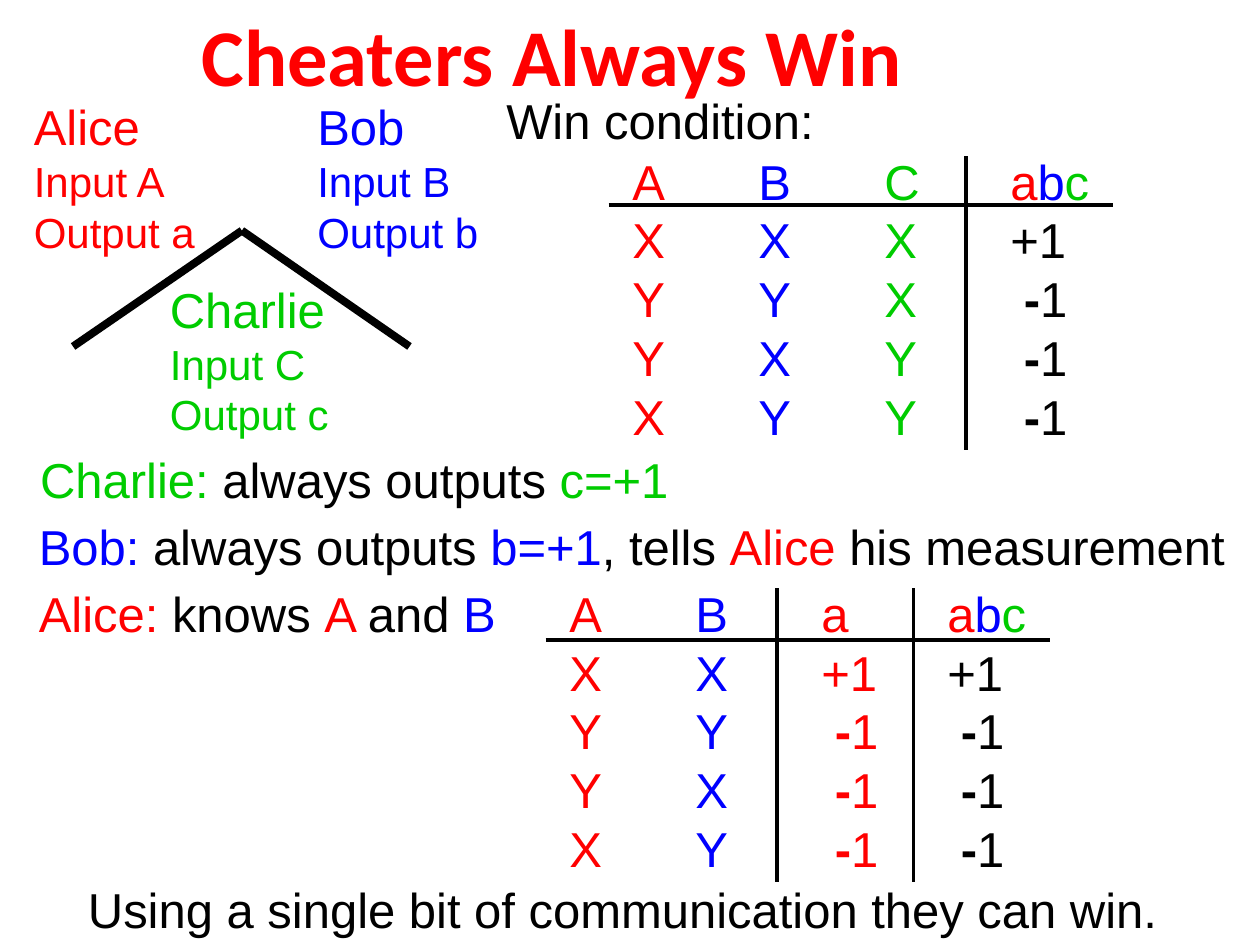
from dataclasses import dataclass
from typing import NamedTuple

from lxml.etree import SubElement
from pptx import Presentation
from pptx.dml.color import RGBColor
from pptx.enum.shapes import MSO_CONNECTOR as Connector
from pptx.enum.text import MSO_ANCHOR as Anchor, MSO_AUTO_SIZE as AutoSize, PP_ALIGN as Align
from pptx.oxml.ns import qn
from pptx.util import Inches, Pt

RED = RGBColor(0xFF, 0x00, 0x00)
BLUE = RGBColor(0x00, 0x00, 0xFF)
GREEN = RGBColor(0x00, 0xCC, 0x00)
BLACK = RGBColor(0x00, 0x00, 0x00)


class Run(NamedTuple):
    text: str
    color: RGBColor = BLACK
    bold: bool = False


class Player(NamedTuple):
    name: str
    letter: str
    color: RGBColor
    left: float
    top: float


class Statement(NamedTuple):
    left: float
    top: float
    width: float
    runs: list[Run]


@dataclass
class TruthTable:
    left: float
    top: float
    rule_top: float
    header: str
    colors: list[RGBColor]
    rows: list[str]
    dividers: list[float]


PRODUCT = [Run("a", RED), Run("b", BLUE), Run("c", GREEN)]

PLAYERS = [
    Player("Alice", "A", RED, 0.17, 0.72),
    Player("Bob", "B", BLUE, 2.42, 0.72),
    Player("Charlie", "C", GREEN, 1.25, 2.17),
]

STATEMENTS = [
    Statement(3.92, 0.67, 2.66, [Run("Win condition:")]),
    Statement(0.22, 3.52, 5.22, [
        Run("Charlie: ", GREEN), Run("always outputs "), Run("c=+1", GREEN)]),
    Statement(0.21, 4.05, 9.63, [
        Run("Bob: ", BLUE), Run("always outputs "), Run("b=+1", BLUE),
        Run(", tells "), Run("Alice", RED), Run(" his measurement")]),
    Statement(0.21, 4.58, 3.97, [
        Run("Alice: ", RED), Run("knows "), Run("A ", RED), Run("and "), Run("B", BLUE)]),
    Statement(0.6, 6.93, 8.7, [Run("Using a single bit of communication they can win.")]),
]

TABLES = [
    TruthTable(4.92, 1.15, 1.63, "A B C", [RED, BLUE, GREEN, BLACK],
               ["X X X +1", "Y Y X -1", "Y X Y -1", "X Y Y -1"], [7.67]),
    TruthTable(4.42, 4.58, 5.08, "A B a", [RED, BLUE, RED, BLACK],
               ["X X +1 +1", "Y Y -1 -1", "Y X -1 -1", "X Y -1 -1"], [6.17, 7.25]),
]


def write_text(frame, paragraphs: list[list[Run]], *, sizes: list[float],
               font: str = "Arial", tabs: int = 0) -> None:
    frame.word_wrap = False
    frame.auto_size = AutoSize.SHAPE_TO_FIT_TEXT
    frame.vertical_anchor = Anchor.TOP
    for index, (runs, size) in enumerate(zip(paragraphs, sizes)):
        paragraph = frame.paragraphs[0] if index == 0 else frame.add_paragraph()
        paragraph.alignment = Align.LEFT
        if tabs:
            stops = SubElement(paragraph._p.get_or_add_pPr(), qn("a:tabLst"))
            for stop in range(1, tabs + 1):
                SubElement(stops, qn("a:tab"), pos=str(Inches(stop)), algn="l")
        for part in runs:
            run = paragraph.add_run()
            run.text = part.text
            run.font.name = font
            run.font.size = Pt(size)
            run.font.bold = part.bold
            run.font.color.rgb = part.color


def add_text(slide, left: float, top: float, width: float, height: float,
             paragraphs: list[list[Run]], **text_format) -> None:
    box = slide.shapes.add_textbox(Inches(left), Inches(top), Inches(width), Inches(height))
    write_text(box.text_frame, paragraphs, **text_format)


def add_line(slide, start: tuple[float, float], end: tuple[float, float],
             width: float = 2.25) -> None:
    line = slide.shapes.add_connector(
        Connector.STRAIGHT, *(Inches(value) for value in (*start, *end)))
    line.line.color.rgb = BLACK
    line.line.width = Pt(width)
    SubElement(line._element.spPr, qn("a:effectLst"))


def add_player(slide, player: Player) -> None:
    lines = [player.name, f"Input {player.letter}", f"Output {player.letter.lower()}"]
    add_text(slide, player.left, player.top, 1.48, 1.37,
             [[Run(line, player.color)] for line in lines], sizes=[28, 24, 24])


def value_runs(value: str, color: RGBColor) -> list[Run]:
    if value.startswith("-"):
        return [Run(" ", color), Run("-", color, True), Run(value[1:], color)]
    return [Run(value, color)]


def row_runs(row: str, colors: list[RGBColor]) -> list[Run]:
    runs = []
    for column, (value, color) in enumerate(zip(row.split(), colors)):
        if column:
            runs.append(Run("\t", color))
        runs += value_runs(value, color)
    return runs


def add_truth_table(slide, table: TruthTable) -> None:
    header = row_runs(table.header, table.colors) + [Run("\t"), *PRODUCT]
    body = [row_runs(row, table.colors) for row in table.rows]
    add_text(slide, table.left, table.top, 3.9, 2.44, [header, *body],
             sizes=[28] * (len(body) + 1), tabs=len(table.colors) - 1)
    rule_left = table.left - 0.09
    add_line(slide, (rule_left, table.rule_top), (rule_left + 4, table.rule_top))
    for divider in table.dividers:
        add_line(slide, (divider, table.top + 0.09), (divider, table.top + 2.42))


def main() -> None:
    deck = Presentation()
    deck.slide_width, deck.slide_height = Inches(10), Inches(7.5)
    slide = deck.slides.add_slide(deck.slide_layouts[5])

    title = slide.shapes.title
    title.left, title.top = Inches(1.5), Inches(0)
    title.width, title.height = Inches(7.04), Inches(0.87)
    write_text(title.text_frame, [[Run("Cheaters Always Win", RED, True)]],
               sizes=[46], font="Calibri")

    for player in PLAYERS:
        add_player(slide, player)
    for foot in (0.58, 3.25):
        add_line(slide, (1.92, 1.83), (foot, 2.75), 4.5)
    for statement in STATEMENTS:
        add_text(slide, statement.left, statement.top, statement.width, 0.57,
                 [statement.runs], sizes=[28])
    for table in TABLES:
        add_truth_table(slide, table)

    deck.save("out.pptx")


if __name__ == "__main__":
    main()
